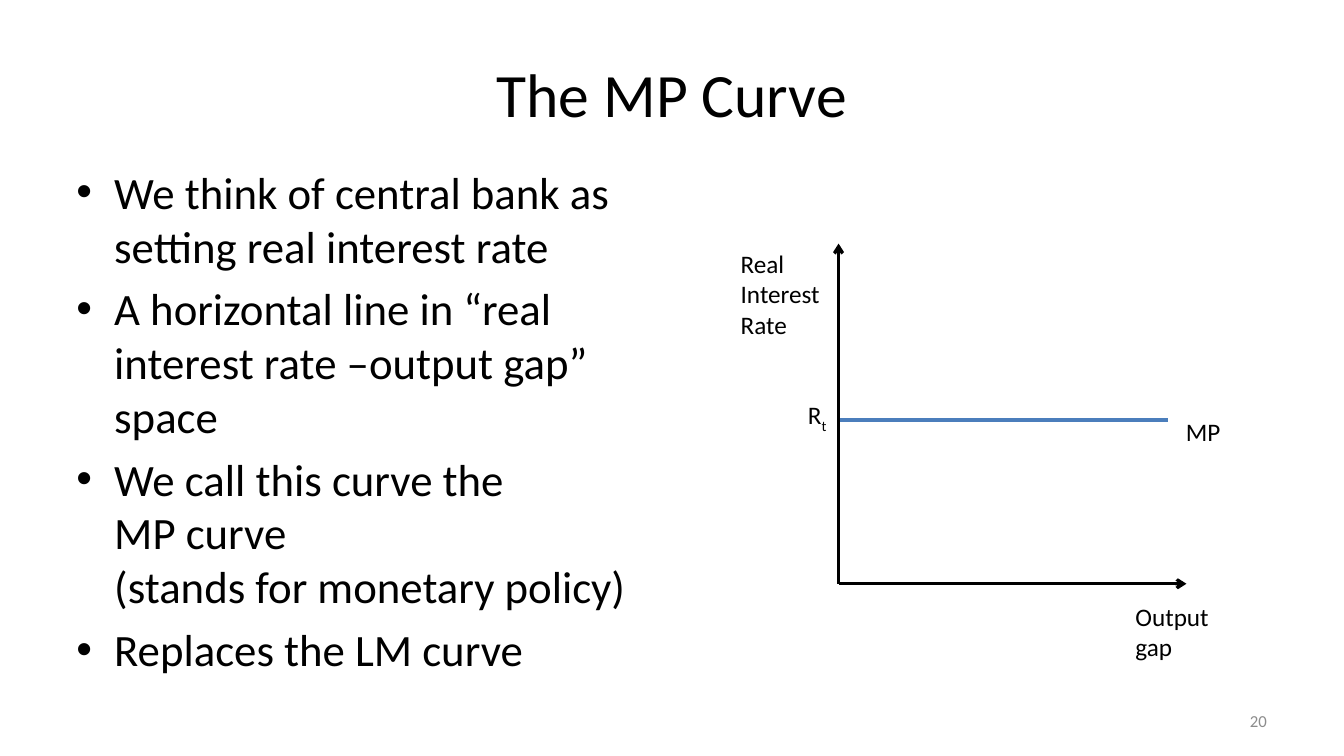
from lxml.etree import SubElement
from pptx import Presentation
from pptx.dml.color import RGBColor
from pptx.enum.shapes import MSO_CONNECTOR as CONNECTOR
from pptx.enum.text import MSO_ANCHOR as ANCHOR, PP_ALIGN as ALIGN
from pptx.oxml.ns import qn
from pptx.util import Pt

COLORS = {"ink": "000000", "curve": "4B7EBC", "number": "8C8C8C"}
FONT = "Calibri"

POINTS = [
    "We think of central bank as setting real interest rate",
    "A horizontal line in “real interest rate –output gap” space",
    "We call this curve the\vMP curve\v(stands for monetary policy)",
    "Replaces the LM curve",
]

# Axis label: text, left, top, width, height
LABELS = [
    ("Real Interest Rate", 522, 174, 72, 72.7),
    ("MP", 840, 294, 41.5, 29),
    ("Output gap", 804, 426, 78, 51),
]


def set_font(paragraph, size, color="ink"):
    font = paragraph.font
    font.name = FONT
    font.size = Pt(size)
    font.color.rgb = RGBColor.from_string(COLORS[color])


def add_text(slide, text, left, top, width, height, size=18, color="ink",
             align=ALIGN.LEFT, anchor=ANCHOR.TOP, wrap=True):
    box = slide.shapes.add_textbox(Pt(left), Pt(top), Pt(width), Pt(height))
    frame = box.text_frame
    frame.word_wrap = wrap
    frame.vertical_anchor = anchor
    paragraph = frame.paragraphs[0]
    paragraph.text = text
    paragraph.alignment = align
    set_font(paragraph, size, color)
    return paragraph


def add_bullets(slide, points, left, top, width, height, size):
    box = slide.shapes.add_textbox(Pt(left), Pt(top), Pt(width), Pt(height))
    frame = box.text_frame
    frame.word_wrap = True
    for index, point in enumerate(points):
        paragraph = frame.add_paragraph() if index else frame.paragraphs[0]
        paragraph.text = point
        if index:
            paragraph.space_before = Pt(0.2 * size)
        properties = paragraph._p.get_or_add_pPr()
        properties.set("marL", str(Pt(27)))
        properties.set("indent", str(-Pt(27)))
        SubElement(properties, qn("a:buFont"), typeface="Arial")
        SubElement(properties, qn("a:buChar"), char="•")
        set_font(paragraph, size)


def add_line(slide, start, end, color="ink", arrow=False):
    connector = slide.shapes.add_connector(
        CONNECTOR.STRAIGHT, *(Pt(value) for value in start + end))
    connector.line.width = Pt(2.25)
    connector.line.color.rgb = RGBColor.from_string(COLORS[color])
    if arrow:
        SubElement(connector.line._get_or_add_ln(), qn("a:tailEnd"), type="arrow")
    SubElement(connector._element.spPr, qn("a:effectLst"))


def add_graph(slide):
    # Axes and the horizontal curve
    origin = (599, 417)
    add_line(slide, origin, (599, 174), arrow=True)
    add_line(slide, origin, (847.5, 417), arrow=True)
    add_line(slide, (600, 300), (834, 300), "curve")

    # Labels
    for label in LABELS:
        add_text(slide, *label)
    rate = add_text(slide, "R", 570, 282, 28, 29, wrap=False)
    period = rate.add_run()
    period.text = "t"
    period._r.get_or_add_rPr().set("baseline", "-25000")


def main():
    deck = Presentation()
    deck.slide_width, deck.slide_height = Pt(960), Pt(540)
    slide = deck.slides.add_slide(deck.slide_layouts[6])

    # Title and argument
    add_text(slide, "The MP Curve", 48, 21.6, 864, 90, 44,
             align=ALIGN.CENTER, anchor=ANCHOR.MIDDLE)
    add_bullets(slide, POINTS, 47.5, 114, 432, 402, 32)

    # Slide number
    add_text(slide, "20", 688, 500.5, 224, 28.8, 12, "number",
             ALIGN.RIGHT, ANCHOR.MIDDLE)

    add_graph(slide)
    deck.save("out.pptx")


if __name__ == "__main__":
    main()
